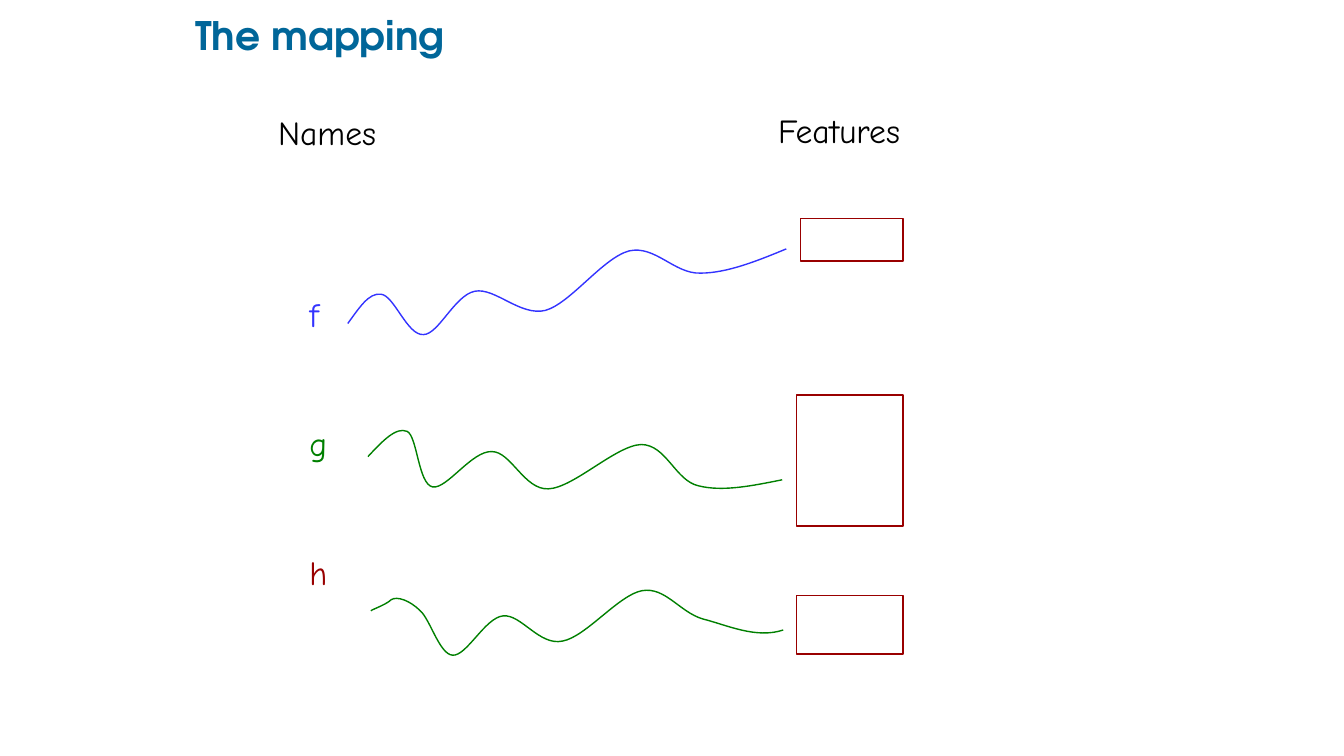
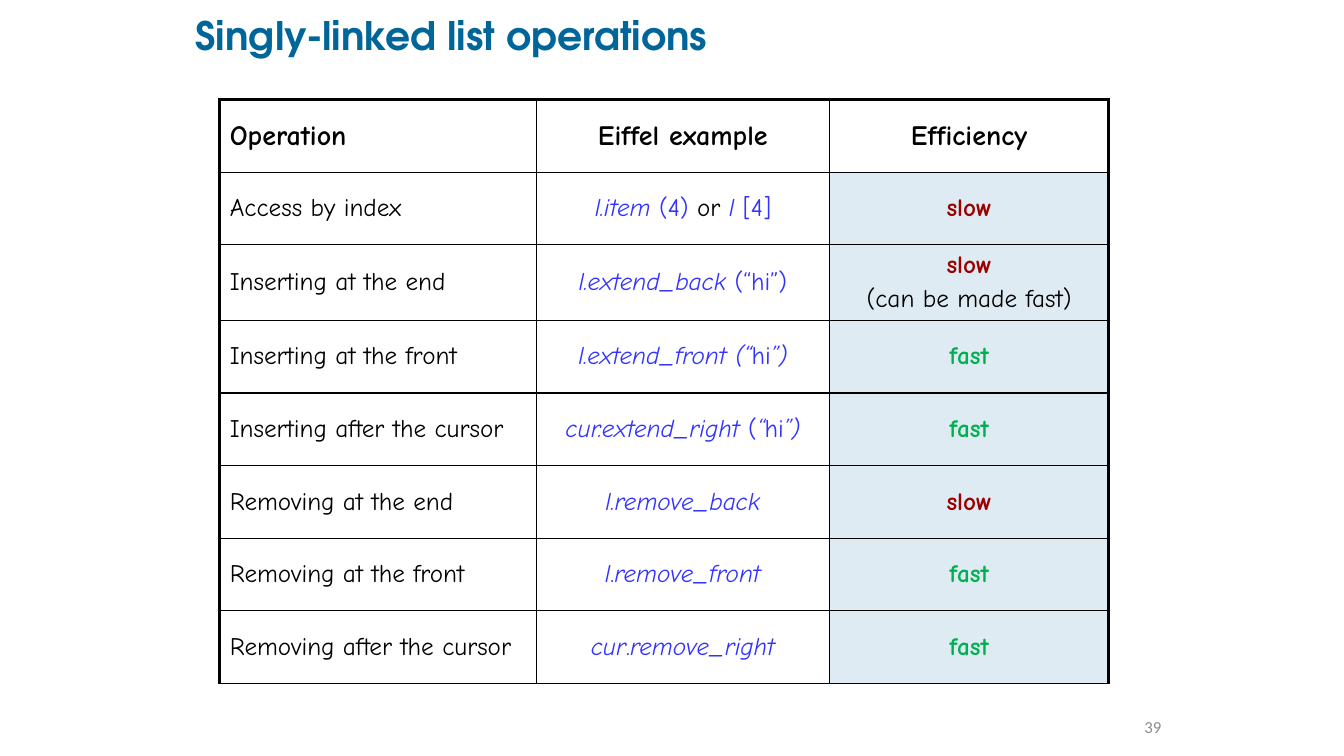
"""Build two lecture slides: a mapping sketch and a table of list operations."""
from dataclasses import dataclass, field

from lxml import etree
from pptx import Presentation
from pptx.dml.color import RGBColor
from pptx.enum.shapes import MSO_SHAPE
from pptx.enum.text import MSO_ANCHOR, PP_ALIGN
from pptx.oxml.ns import qn
from pptx.util import Inches, Pt

RECTANGLE = MSO_SHAPE.RECTANGLE
TOP, MIDDLE = MSO_ANCHOR.TOP, MSO_ANCHOR.MIDDLE
LEFT, CENTER, RIGHT = PP_ALIGN.LEFT, PP_ALIGN.CENTER, PP_ALIGN.RIGHT
UNIT = Inches(0.1)
COLUMNS, ROWS = 133.33, 75
BLANK_LAYOUT = 6


@dataclass(frozen=True)
class Theme:
    black: str = "000000"
    white: str = "FFFFFF"
    blue: str = "3333FF"
    green: str = "008000"
    red: str = "990000"
    tint: str = "DFEBF3"
    thin: float = 1
    thick: float = 2.25
    tight: float = 0.9
    hand: str = "Comic Neue"
    styles: dict = field(default_factory=dict)

    def add(self, name, color, size, font=None, **format_values):
        values = {"name": font or self.hand, "size": Pt(size), "bold": False, "italic": False}
        self.styles[name] = (color, {**values, **format_values})


THEME = Theme()
THEME.add("title", "006699", 28, "TeX Gyre Adventor", bold=True)
THEME.add("page", "8C8C8C", 12, "Calibri")
THEME.add("label", THEME.black, 24)
THEME.add("f", THEME.blue, 24)
THEME.add("g", THEME.green, 24)
THEME.add("h", THEME.red, 24)
THEME.add("head", THEME.black, 20, bold=True)
THEME.add("body", THEME.black, 18)
THEME.add("code", THEME.blue, 18)
THEME.add("name", THEME.blue, 18, italic=True)
THEME.add("slow", THEME.red, 18, bold=True)
THEME.add("fast", "00B050", 18, bold=True)


def grid(*values):
    return [round(value * UNIT) for value in values]


def apply(target, format_values):
    for name, value in format_values.items():
        setattr(target, name, value)


class Deck:
    def __init__(self, theme):
        self.theme = theme
        self.presentation = Presentation()
        width, height = grid(COLUMNS, ROWS)
        apply(self.presentation, {"slide_width": width, "slide_height": height})
        self.slide = None

    def new_slide(self, title):
        layout = self.presentation.slide_layouts[BLANK_LAYOUT]
        self.slide = self.presentation.slides.add_slide(layout)
        self.text((19.4, 1.3, 86.9, 4.8), [[(title, "title")]], MIDDLE, margins=(0, 0),
                  line_spacing=self.theme.tight)

    def paragraphs(self, frame, paragraphs, gap=0, **paragraph_format):
        for index, runs in enumerate(paragraphs):
            paragraph = frame.add_paragraph() if index else frame.paragraphs[0]
            apply(paragraph, paragraph_format)
            if index:
                paragraph.space_before = Pt(gap)
            for text, style in runs:
                run = paragraph.add_run()
                run.text = text
                color, font_format = self.theme.styles[style]
                apply(run.font, font_format)
                run.font.color.rgb = RGBColor.from_string(color)

    def text(self, box, paragraphs, anchor=TOP, margins=(1, 0.5), **paragraph_format):
        frame = self.slide.shapes.add_textbox(*grid(*box)).text_frame
        side, edge = grid(*margins)
        apply(frame, {"word_wrap": True, "vertical_anchor": anchor,
                      "margin_left": side, "margin_right": side,
                      "margin_top": edge, "margin_bottom": edge})
        self.paragraphs(frame, paragraphs, **paragraph_format)

    def outline(self, shape, color):
        shape.shadow.inherit = False
        shape.line.color.rgb = RGBColor.from_string(color)
        shape.line.width = Pt(self.theme.thin)

    def rectangle(self, box):
        shape = self.slide.shapes.add_shape(RECTANGLE, *grid(*box))
        shape.fill.solid()
        shape.fill.fore_color.rgb = RGBColor.from_string(self.theme.white)
        self.outline(shape, self.theme.red)

    def curve(self, points, color):
        start, *rest = [grid(*point) for point in points]
        builder = self.slide.shapes.build_freeform(*start)
        builder.add_line_segments(rest, close=False)
        shape = builder.convert_to_shape()
        shape.fill.background()
        self.outline(shape, color)
        segments = list(shape.element.iter(qn("a:lnTo")))
        for first in range(0, len(segments), 3):
            bezier = etree.Element(qn("a:cubicBezTo"))
            segments[first].addprevious(bezier)
            for segment in segments[first:first + 3]:
                bezier.append(segment[0])
                segment.getparent().remove(segment)

    def border(self, cell, widths):
        properties = cell._tc.get_or_add_tcPr()
        for side, width in zip("LRTB", widths):
            line = etree.SubElement(properties, qn(f"a:ln{side}"), w=str(Pt(width)))
            fill = etree.SubElement(line, qn("a:solidFill"))
            etree.SubElement(fill, qn("a:srgbClr"), val=self.theme.black)

    def table(self, left, top, widths, row_height, rows):
        theme = self.theme
        box = grid(left, top, sum(widths), row_height * len(rows))
        table = self.slide.shapes.add_table(len(rows), len(widths), *box).table
        apply(table, {"first_row": False, "horz_banding": False})
        for column, width in zip(table.columns, grid(*widths)):
            column.width = width
        last = len(widths) - 1
        for row_index, row in enumerate(rows):
            for column_index, paragraphs in enumerate(row):
                cell = table.cell(row_index, column_index)
                cell.vertical_anchor = MIDDLE
                outer = (column_index == 0, column_index == last, row_index == 0, False)
                self.border(cell, [theme.thick if edge else theme.thin for edge in outer])
                if row_index and column_index == last:
                    cell.fill.solid()
                    cell.fill.fore_color.rgb = RGBColor.from_string(theme.tint)
                else:
                    cell.fill.background()
                self.paragraphs(cell.text_frame, paragraphs, gap=3.6,
                                alignment=CENTER if column_index else LEFT)


F_CURVE = [
    (34.5, 32.1), (35.6, 30.6), (36.6, 29), (37.8, 29.2), (39.1, 29.3), (40.4, 33.3), (42, 33.2),
    (43.5, 33.2), (45.1, 29.3), (47.1, 28.9), (49.1, 28.5), (51.6, 31.4), (54.1, 30.8),
    (56.6, 30.1), (59.8, 25.6), (62.4, 24.9), (65, 24.3), (66.9, 27.2), (69.5, 27.1),
    (72.1, 27.1), (75.1, 25.9), (78, 24.7)]
G_CURVE = [
    (36.5, 45.3), (37.9, 43.8), (39.3, 42.3), (40.4, 42.8), (41.4, 43.3), (41.5, 48), (42.9, 48.3),
    (44.3, 48.6), (46.8, 44.7), (48.8, 44.8), (50.7, 44.8), (52, 48.6), (54.4, 48.5),
    (56.9, 48.4), (61.1, 44.2), (63.6, 44.1), (66.1, 44.1), (67, 47.7), (69.3, 48.2),
    (71.7, 48.8), (74.6, 48.2), (77.6, 47.6)]
H_CURVE = [
    (36.8, 60.6), (36.8, 60.5), (38.3, 60), (38.8, 59.5), (39.4, 59.1), (40.7, 59.6), (41.7, 60.6),
    (42.7, 61.5), (43.6, 64.9), (44.9, 65), (46.3, 65.1), (48.1, 61.3), (49.9, 61.1),
    (51.7, 60.9), (53.5, 64.1), (55.8, 63.6), (58.1, 63.2), (61.4, 59), (63.7, 58.6),
    (66, 58.2), (67.4, 60.7), (69.7, 61.4), (72.1, 62), (75, 63.4), (77.7, 62.5)]

SLOW, FAST = [("slow", "slow")], [("fast", "fast")]
OPERATIONS = [
    ("Access by index",
     [("l.item ", "name"), ("(4) ", "code"), ("or ", "body"), ("l ", "name"), ("[4]", "code")],
     [SLOW]),
    ("Inserting at the end",
     [("l.extend_back ", "name"), ("(“hi”)", "code")],
     [SLOW, [("(can be made fast)", "body")]]),
    ("Inserting at the front",
     [("l.extend_front (“", "name"), ("hi", "code"), ("”)", "name")], [FAST]),
    ("Inserting after the cursor",
     [("cur.extend_right ", "name"), ("(", "code"), ("“", "name"), ("hi", "code"), ("”)", "name")],
     [FAST]),
    ("Removing at the end", [("l.remove_back", "name")], [SLOW]),
    ("Removing at the front",
     [("l", "name"), (".", "code"), ("remove_front", "name")], [FAST]),
    ("Removing after the cursor",
     [("cur", "name"), (".", "code"), ("remove_right", "name")], [FAST]),
]


def mapping_slide(deck):
    deck.new_slide("The mapping")
    deck.text((29.7, 29.1, 11.6, 37.9), [[(name, name)] for name in "fgh"],
              gap=66.4, line_spacing=deck.theme.tight)
    deck.text((26.6, 10.6, 13.5, 8.3), [[("Names", "label")]])
    deck.text((76.2, 10.4, 17.1, 8.3), [[("Features", "label")]])
    for box in ((79.4, 21.7, 10.2, 4.2), (79, 39.2, 10.6, 13), (79, 59.1, 10.6, 5.8)):
        deck.rectangle(box)
    deck.curve(F_CURVE, deck.theme.blue)
    deck.curve(G_CURVE, deck.theme.green)
    deck.curve(H_CURVE, deck.theme.green)


def operations_slide(deck):
    deck.new_slide("Singly-linked list operations")
    headings = [[[(text, "head")]] for text in ("Operation", "Eiffel example", "Efficiency")]
    body = [([[(operation, "body")]], [example], efficiency)
            for operation, example, efficiency in OPERATIONS]
    deck.table(21.8, 9.9, (31.4, 29.1, 27.7), 7.2, [headings, *body])
    deck.text((110.2, 69.3, 6, 5.7), [[("39", "page")]], MIDDLE, margins=(1, 1), alignment=RIGHT)


def main():
    deck = Deck(THEME)
    mapping_slide(deck)
    operations_slide(deck)
    deck.presentation.save("out.pptx")


if __name__ == "__main__":
    main()
